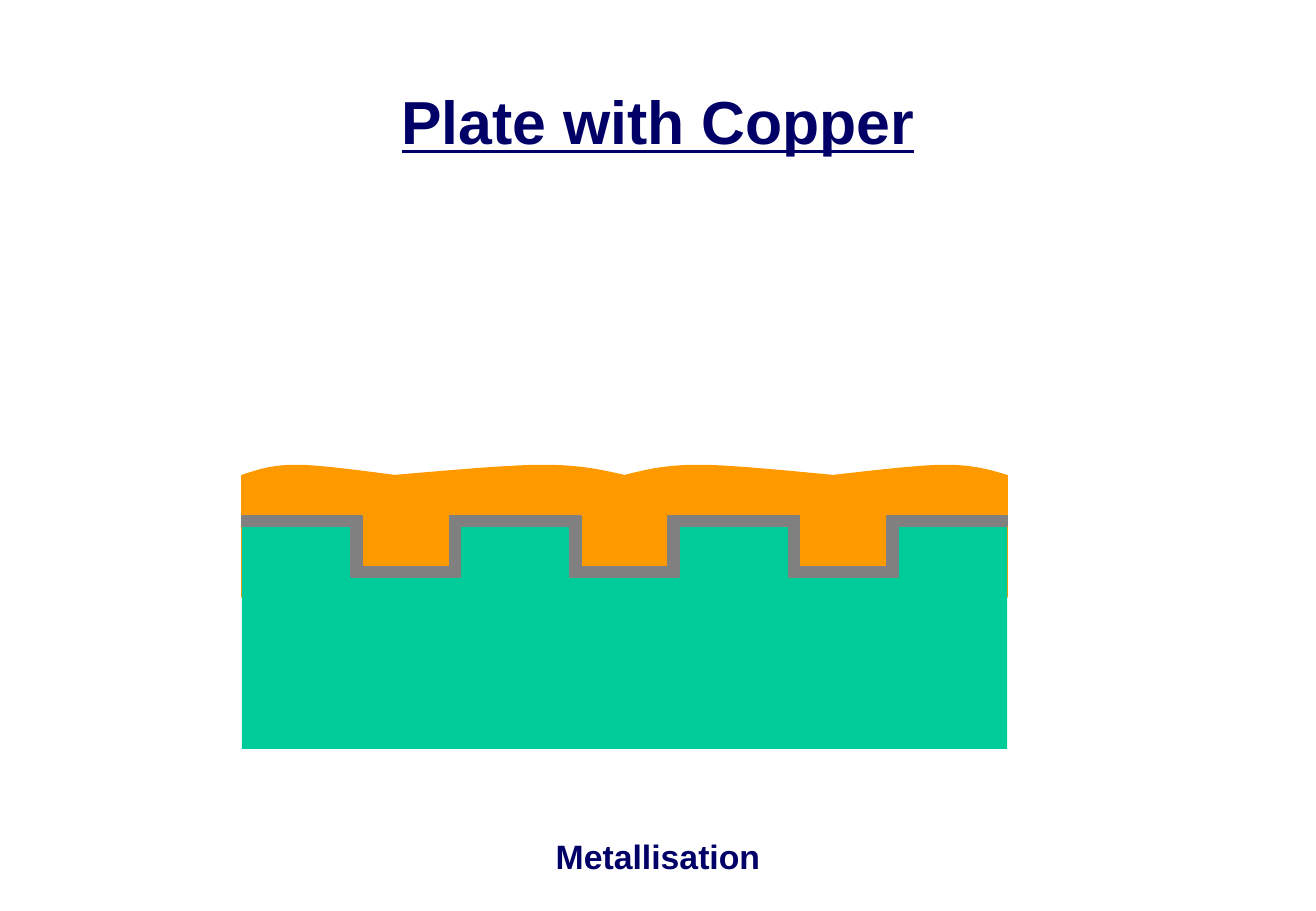
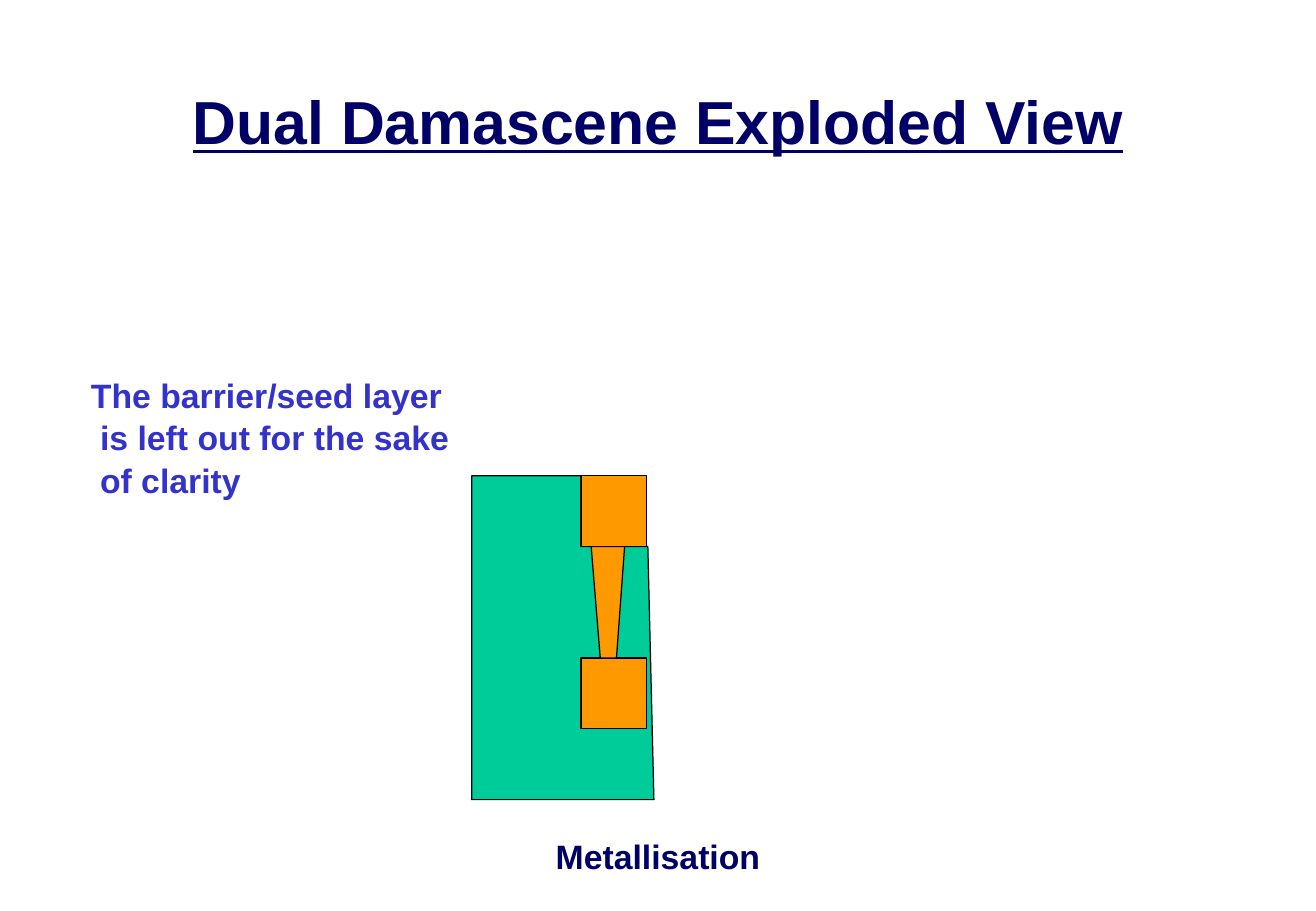
from dataclasses import dataclass

from pptx import Presentation
from pptx.dml.color import RGBColor
from pptx.enum.shapes import MSO_SHAPE
from pptx.enum.text import MSO_ANCHOR, PP_ALIGN
from pptx.util import Pt

RECT = MSO_SHAPE.RECTANGLE
TOP, MIDDLE = MSO_ANCHOR.TOP, MSO_ANCHOR.MIDDLE
LEFT, CENTER = PP_ALIGN.LEFT, PP_ALIGN.CENTER
PX = 7620  # 120 px to the inch


@dataclass(frozen=True)
class Theme:
    font: str = "Arial"
    navy: str = "000066"
    blue: str = "3333CC"
    copper: str = "FF9900"
    dielectric: str = "00CC99"
    barrier: str = "808080"
    outline: str = "000000"
    title_size: int = 36
    body_size: int = 20


T = Theme()


def add_text(s, box, lines, size, color, align=CENTER, anchor=TOP, underline=None, wrap=True):
    """Add bold text; each line is (text, left indent in px)."""
    sp = s.shapes.add_textbox(*(v * PX for v in box))
    tf = sp.text_frame
    tf.word_wrap = wrap
    tf.vertical_anchor = anchor
    for i, (text, indent) in enumerate(lines):
        p = tf.paragraphs[0] if i == 0 else tf.add_paragraph()
        p.alignment = align
        if indent:
            p._p.get_or_add_pPr().set("marL", str(indent * PX))
        if len(lines) > 1:
            p.line_spacing = 1.05
        r = p.add_run()
        r.text = text
        r.font.name = T.font
        r.font.size = Pt(size)
        r.font.bold = True
        r.font.underline = underline
        r.font.color.rgb = RGBColor.from_string(color)


def add_area(s, fill, line=None, width=1, box=None, points=None):
    """Add a filled rectangle (box) or polygon (points)."""
    if box:
        sp = s.shapes.add_shape(RECT, *(v * PX for v in box))
    else:
        start, *rest = [(x * PX, y * PX) for x, y in points]
        fb = s.shapes.build_freeform(*start, scale=1.0)
        fb.add_line_segments(rest, close=True)
        sp = fb.convert_to_shape()
    sp.shadow.inherit = False
    sp.fill.solid()
    sp.fill.fore_color.rgb = RGBColor.from_string(fill)
    if line:
        sp.line.color.rgb = RGBColor.from_string(line)
        sp.line.width = Pt(width)
    else:
        sp.line.fill.background()


prs = Presentation()
prs.slide_width, prs.slide_height = 1300 * PX, 900 * PX

# Shared footer and title
slides = []
for title in ("Plate with Copper", "Dual Damascene Exploded View"):
    s = prs.slides.add_slide(prs.slide_layouts[6])
    add_text(s, (444, 820, 412, 60), [("Metallisation", 0)], T.body_size, T.navy)
    add_text(s, (54, 44, 1192, 150), [(title, 0)], T.title_size, T.navy,
             anchor=MIDDLE, underline=True)
    slides.append(s)
plate, exploded = slides

# Plate: seven equal columns, every second one a trench
x0, pitch = 239, 108
edges = [x0 + pitch * i for i in range(8)]
x1 = edges[-1]
surface, floor, base = 510, 560, 740
lining_x, lining_y = 11, 10
copper_top, crest = 470, 460

# Copper waves: cubic curves, each rising steeply from its start
curves = (
    ((0, copper_top), (0.1, 465), (0.19, crest), (0.36, crest)),
    ((0.36, crest), (0.52, crest), (0.89, 468), (1, copper_top)),
)
steps = 16
for start, end in ((x0, 390), (617, 390), (617, 823), (x1, 823)):
    points = []
    for curve in curves:
        for i in range(steps + 1):
            t = i / steps
            weights = ((1 - t) ** 3, 3 * t * (1 - t) ** 2, 3 * t * t * (1 - t), t ** 3)
            x, y = (sum(w * c[k] for w, c in zip(weights, curve)) for k in (0, 1))
            points.append((start + (end - start) * x, y))
    add_area(plate, T.copper, T.copper, points=points)
add_area(plate, T.copper, T.copper, box=(x0, copper_top, x1 - x0, 120))

# Dielectric and barrier profiles across the trenches
outer = [(x0, surface)]
inner = [(x0, surface)]
for left, right in zip(edges[1:-1:2], edges[2:-1:2]):
    outer += [(left, surface), (left, floor), (right, floor), (right, surface)]
    a, b = left + lining_x, right - lining_x
    inner += [(a, surface), (a, floor), (b, floor), (b, surface)]
outer.append((x1, surface))
inner.append((x1, surface))
add_area(plate, T.dielectric, points=[(x0, base), *outer, (x1, base)])
lower = [(x, y + lining_y) for x, y in reversed(outer)]
add_area(plate, T.barrier, T.barrier, points=inner + lower)

# Exploded view: dielectric, lower line, via, upper line
line_x, line_w, line_h = 574, 65, 70
upper_y, lower_y = 470, 650
via_y = upper_y + line_h
add_area(exploded, T.dielectric, T.outline, 0.75, points=[
    (466, upper_y), (line_x, upper_y), (line_x, via_y), (640, via_y), (646, 790), (466, 790)])
add_area(exploded, T.copper, T.outline, 0.75, box=(line_x, lower_y, line_w, line_h))
add_area(exploded, T.copper, T.outline, 0.75, points=[
    (584, via_y), (593, lower_y), (609, lower_y), (617, via_y)])
add_area(exploded, T.copper, T.outline, 0.75, box=(line_x, upper_y, line_w, line_h))

# Note
add_text(exploded, (78, 362, 378, 132),
         [("The barrier/seed layer", 0), ("is left out for the sake", 9), ("of clarity", 9)],
         T.body_size, T.blue, align=LEFT, wrap=False)

prs.save("out.pptx")
